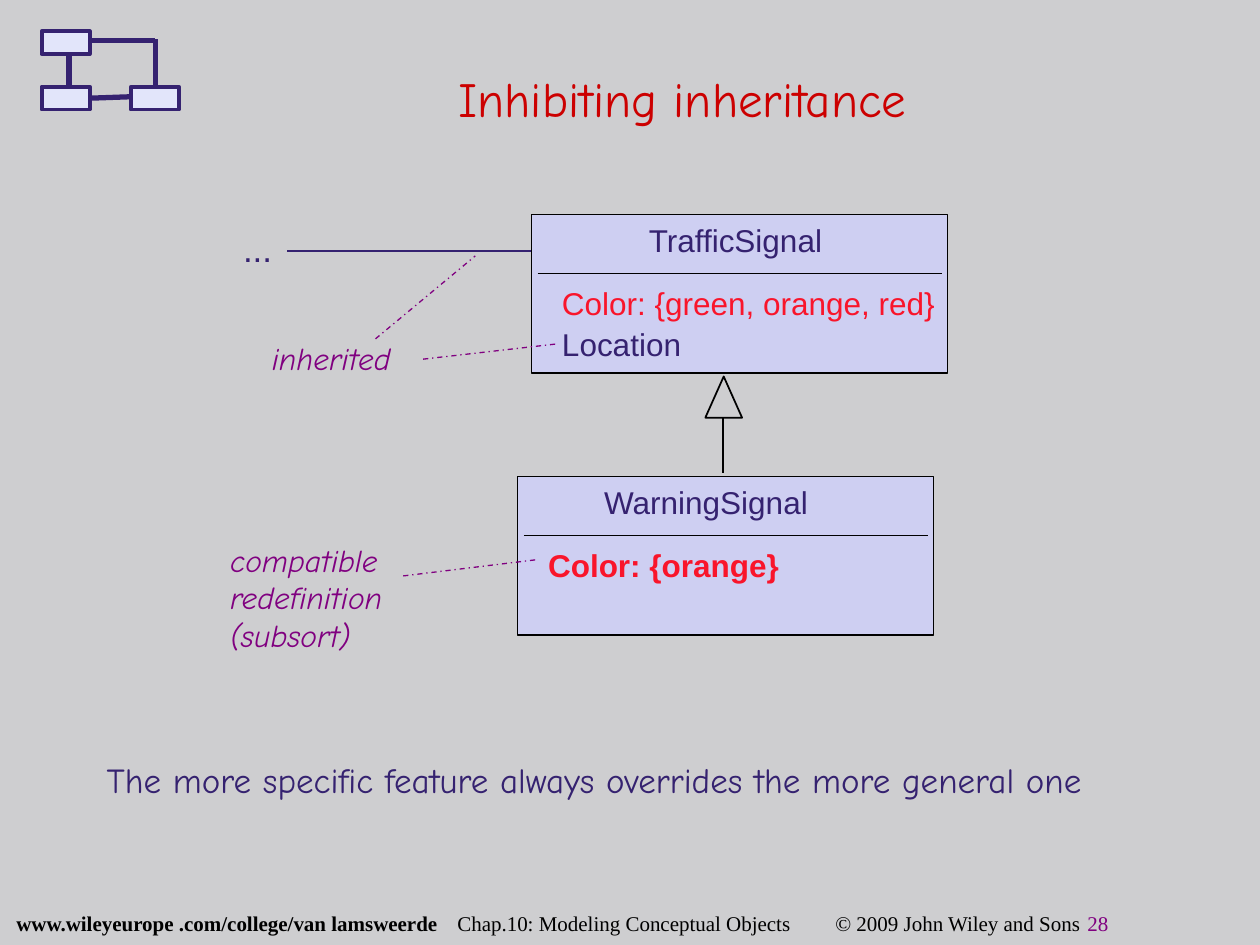
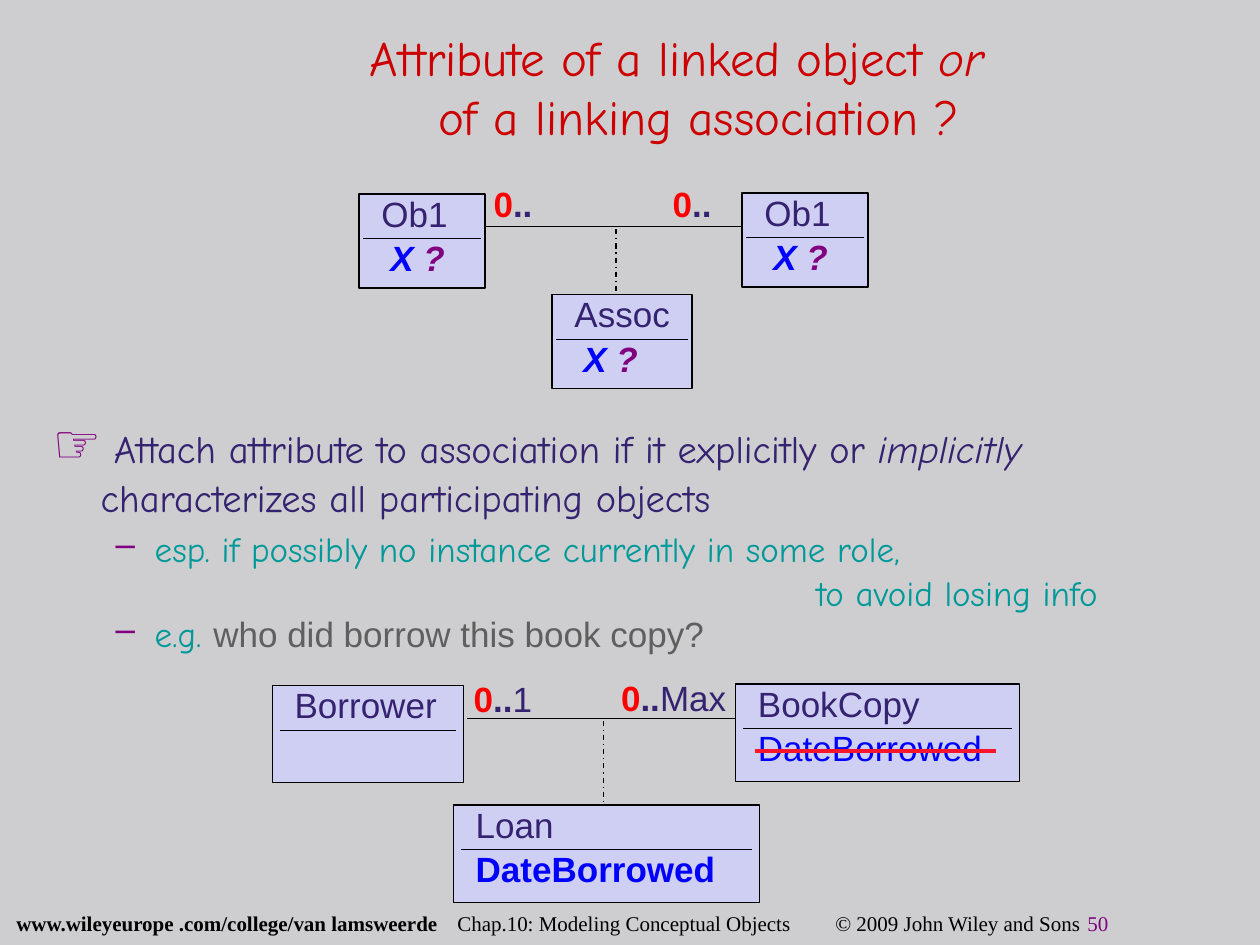
from lxml.etree import SubElement
from pptx import Presentation
from pptx.dml.color import RGBColor
from pptx.enum.dml import MSO_LINE
from pptx.enum.shapes import MSO_CONNECTOR, MSO_SHAPE
from pptx.enum.text import MSO_ANCHOR, PP_ALIGN
from pptx.oxml.ns import qn
from pptx.util import Cm, Pt

INK, BLACK, PURPLE, TITLE = "352270", "000000", "800080", "CC0000"
RED, SCARLET, BLUE, TEAL, GREY = "F9152B", "FF0000", "0000FF", "009999", "5F5F5F"
PAPER, LILAC, PALE = "CECED0", "CECFF2", "E2E5FA"
COMIC, SANS, SERIF = "Comic Neue", "Arial", "Times New Roman"


def rgb(value):
    return RGBColor.from_string(value)


def fmt(size, name, color, **extra):
    return dict(size=Pt(size), name=name, color=color, **extra)


TITLE_FMT = fmt(28, COMIC, TITLE)
FOOT = fmt(12, SERIF, BLACK)
CLASS = fmt(18, SANS, INK)
DOMAIN = fmt(18, SANS, RED)
NOTE = fmt(18, COMIC, PURPLE, italic=True)
NODE = fmt(20, SANS, INK)
MARK = fmt(20, SANS, SCARLET, bold=True)
BODY = fmt(22, COMIC, INK)
SUB = fmt(20, COMIC, TEAL)


def para(*runs, margin=0, hang=0, right=0, bullet=None, tabs=(), **attrs):
    return dict(runs=runs, margin=margin, hang=hang, right=right,
                bullet=bullet, tabs=tabs, attrs=attrs)


def add_bullet(pPr, char):
    clr = SubElement(pPr, qn("a:buClr"))
    SubElement(clr, qn("a:srgbClr")).set("val", PURPLE)
    SubElement(pPr, qn("a:buChar")).set("char", char)


def add_tabs(pPr, stops):
    tab_list = SubElement(pPr, qn("a:tabLst"))
    for stop in stops:
        tab = SubElement(tab_list, qn("a:tab"))
        tab.set("pos", str(Cm(stop)))
        tab.set("algn", "l")


def write(sp, paras, anchor=MSO_ANCHOR.TOP, inset=0.25):
    tf = sp.text_frame
    frame = dict(word_wrap=True, vertical_anchor=anchor, margin_left=Cm(inset),
                 margin_right=Cm(0.25), margin_top=Cm(0.13), margin_bottom=Cm(0.13))
    for key, value in frame.items():
        setattr(tf, key, value)
    for i, item in enumerate(paras):
        p = tf.add_paragraph() if i else tf.paragraphs[0]
        pPr = p._p.get_or_add_pPr()
        for key, value in (("marL", item["margin"]), ("marR", item["right"]),
                           ("indent", -item["hang"])):
            pPr.set(key, str(Cm(value)))
        if item["bullet"]:
            add_bullet(pPr, item["bullet"])
        if item["tabs"]:
            add_tabs(pPr, item["tabs"])
        for key, value in {"alignment": PP_ALIGN.LEFT, **item["attrs"]}.items():
            setattr(p, key, value)
        for text, font in item["runs"]:
            r = p.add_run()
            r.text = text
            for key, value in font.items():
                if key == "color":
                    r.font.color.rgb = rgb(value)
                else:
                    setattr(r.font, key, value)


def add_text(s, box, *paras, anchor=MSO_ANCHOR.TOP):
    write(s.shapes.add_textbox(*map(Cm, box)), paras, anchor)


def add_box(s, box, fill, line=BLACK, width=0.75, kind=MSO_SHAPE.RECTANGLE):
    sp = s.shapes.add_shape(kind, *map(Cm, box))
    sp.shadow.inherit = False
    if fill:
        sp.fill.solid()
        sp.fill.fore_color.rgb = rgb(fill)
    else:
        sp.fill.background()
    sp.line.color.rgb = rgb(line)
    sp.line.width = Pt(width)
    return sp


def add_line(s, ends, color=BLACK, width=0.75, dashed=False):
    cx = s.shapes.add_connector(MSO_CONNECTOR.STRAIGHT, *map(Cm, ends))
    cx.line.color.rgb = rgb(color)
    cx.line.width = Pt(width)
    if dashed:
        cx.line.dash_style = MSO_LINE.DASH_DOT
    SubElement(cx._element.spPr, qn("a:effectLst"))


def base_slide(prs, number, title_box, *title):
    s = prs.slides.add_slide(prs.slide_layouts[6])
    s.background.fill.solid()
    s.background.fill.fore_color.rgb = rgb(PAPER)
    add_text(s, (0.08, 18.36, 25.32, 0.61), para(
        ("www.wileyeurope .com/college/van lamsweerde", {**FOOT, "bold": True}),
        ("\tChap.10: Modeling Conceptual Objects\t© 2009 John Wiley and Sons\t", FOOT),
        (number, {**FOOT, "color": PURPLE}),
        tabs=(9.67, 18.1, 23.99), line_spacing=0.7))
    add_text(s, title_box, *title, anchor=MSO_ANCHOR.MIDDLE)
    return s


def class_box(s, box, paras, inset, rule_y, rule_gap):
    x, y, w, _ = box
    write(add_box(s, box, LILAC), paras, inset=inset)
    add_line(s, (x + rule_gap, y + rule_y, x + w - rule_gap, y + rule_y))


def signal_class(s, x, y, name, inset, *attributes):
    class_box(s, (x, y, 8.38, 3.2), [para((name, CLASS))], inset, 1.19, 0.12)
    add_text(s, (x + 0.36, y + 1.27, 8.1, 2.06), *attributes)


def corner_emblem(s, x, y):
    for dx, dy in ((0, 0), (1.8, 1.12), (0, 1.12)):
        add_box(s, (x + dx, y + dy, 0.97, 0.46), PALE, INK, 2.25)
    for x1, y1, x2, y2 in ((0.95, 1.35, 1.8, 1.32), (2.29, 1.1, 2.29, 0.16),
                           (0.98, 0.18, 2.29, 0.18), (0.55, 1.14, 0.55, 0.43)):
        add_line(s, (x + x1, y + y1, x + x2, y + y2), INK, 3)


def inheritance_diagram(s, x, y):
    add_line(s, (x + 1.4, y + 0.74, x + 6.33, y + 0.74), INK)
    signal_class(s, x + 6.33, y, "TrafficSignal", 2.36,
                 para(("Color: {green, orange, red}", DOMAIN)),
                 para(("Location", CLASS), space_before=Pt(2)))
    signal_class(s, x + 6.05, y + 5.28, "WarningSignal", 1.74,
                 para(("Color: {orange}", {**DOMAIN, "bold": True})))
    add_box(s, (x + 9.83, y + 3.27, 0.74, 0.83), None, width=1,
            kind=MSO_SHAPE.ISOSCELES_TRIANGLE)
    add_line(s, (x + 10.19, y + 4.1, x + 10.19, y + 5.21), width=1)
    add_text(s, (x + 0.26, y + 0.13, 1.78, 1.35), para(("...", NODE)))
    add_text(s, (x + 0.84, y + 2.39, 4.78, 1.04), para(("inherited", NOTE)))
    add_text(s, (x, y + 6.45, 4.34, 2.67),
             para(("compatible redefinition", NOTE)), para(("(subsort)", NOTE)))
    for x1, y1, x2, y2 in ((4.14, 2.92, 6.86, 2.61), (3.74, 7.29, 6.45, 6.96),
                           (3.18, 2.51, 5.19, 0.84)):
        add_line(s, (x + x1, y + y1, x + x2, y + y2), PURPLE, dashed=True)


def node(s, box, name, *attribute, margin=0, gap=0.08):
    paras = [para((name, NODE), line_spacing=0.8)]
    if attribute:
        paras.append(para(*attribute, margin=margin, line_spacing=0.8, space_before=Pt(6)))
    class_box(s, box, paras, 0.45, 0.9, gap)


def multiplicity(s, x, y, upper=""):
    add_text(s, (x, y, 2.8, 1.1), para(
        ("0", MARK), ("..", {**MARK, "color": INK}), (upper, NODE), line_spacing=0.8))


def link(s, left, right, y, tie_x, tie_bottom):
    add_line(s, (left, y, right, y))
    add_line(s, (tie_x, y + 0.05, tie_x, tie_bottom), dashed=True)


def candidate_diagram(s, x, y):
    strong = {**NODE, "bold": True, "italic": True}
    doubt = ("X ", {**strong, "color": BLUE}), ("?", {**strong, "color": PURPLE})
    link(s, x + 2.54, x + 7.72, y + 0.68, x + 5.18, y + 2.05)
    for dx, dy, w, name in ((0, 0.02, 2.54, "Ob1"), (7.72, 0, 2.54, "Ob1"),
                            (3.89, 2.05, 2.82, "Assoc")):
        node(s, (x + dx, y + dy, w, 1.9), name, *doubt, margin=0.18)
    for dx in (2.46, 6.07):
        multiplicity(s, x + dx, y - 0.18)


def loan_diagram(s, x, y):
    date = {**NODE, "color": BLUE}
    link(s, x + 3.93, x + 9.32, y + 0.69, x + 6.68, y + 2.44)
    node(s, (x, y + 0.03, 3.86, 1.96), "Borrower", gap=0.15)
    node(s, (x + 9.34, y, 5.72, 1.96), "BookCopy", ("DateBorrowed", date), gap=0.15)
    node(s, (x + 3.65, y + 2.44, 6.17, 1.96), "Loan",
         ("DateBorrowed", {**date, "bold": True}), gap=0.15)
    multiplicity(s, x + 3.81, y - 0.1, "1")
    multiplicity(s, x + 6.78, y - 0.12, "Max")
    add_line(s, (x + 9.72, y + 1.35, x + 14.58, y + 1.35), RED, 2.25)


def advice(s, box):
    dash = dict(margin=2.06, hang=0.79, bullet="–", space_before=Pt(4))
    add_text(
        s, box,
        para(("☞", fmt(31, SANS, PURPLE, bold=True)),
             (" Attach attribute to association if it explicitly or", BODY),
             (" implicitly", {**BODY, "italic": True}),
             (" characterizes all participating objects", BODY), margin=0.97, hang=0.97),
        para(("esp. if possibly no instance currently in some role,", SUB), **dash),
        para(("to avoid losing info", SUB), margin=15.4, line_spacing=0.9,
             space_before=Pt(4)),
        para(("e.g. ", SUB), ("who did borrow this book copy?", fmt(20, SANS, GREY)),
             line_spacing=0.8, **dash),
        anchor=MSO_ANCHOR.MIDDLE)


def inheritance_slide(prs):
    s = base_slide(prs, "28", (2.67, 0.84, 22.17, 2.26),
                   para(("Inhibiting inheritance", TITLE_FMT), alignment=PP_ALIGN.CENTER))
    inheritance_diagram(s, 4.39, 4.32)
    corner_emblem(s, 0.84, 0.63)
    add_text(s, (1.9, 15.16, 22.2, 1.37), para((
        "The more specific feature always overrides the more general one",
        fmt(20, COMIC, INK))))


def association_slide(prs):
    s = base_slide(prs, "50", (3.15, 0.69, 21.31, 2.11),
                   para(("Attribute of a linked object ", TITLE_FMT),
                        ("or", {**TITLE_FMT, "italic": True}),
                        alignment=PP_ALIGN.CENTER, right=0.32),
                   para(("of a linking association ?", TITLE_FMT),
                        alignment=PP_ALIGN.CENTER, margin=0.56))
    advice(s, (0.81, 8.33, 24.28, 4.78))
    candidate_diagram(s, 7.24, 3.89)
    loan_diagram(s, 5.49, 13.79)


def main():
    prs = Presentation()
    prs.slide_width, prs.slide_height = Cm(25.4), Cm(19.05)
    inheritance_slide(prs)
    association_slide(prs)
    prs.save("out.pptx")


if __name__ == "__main__":
    main()
